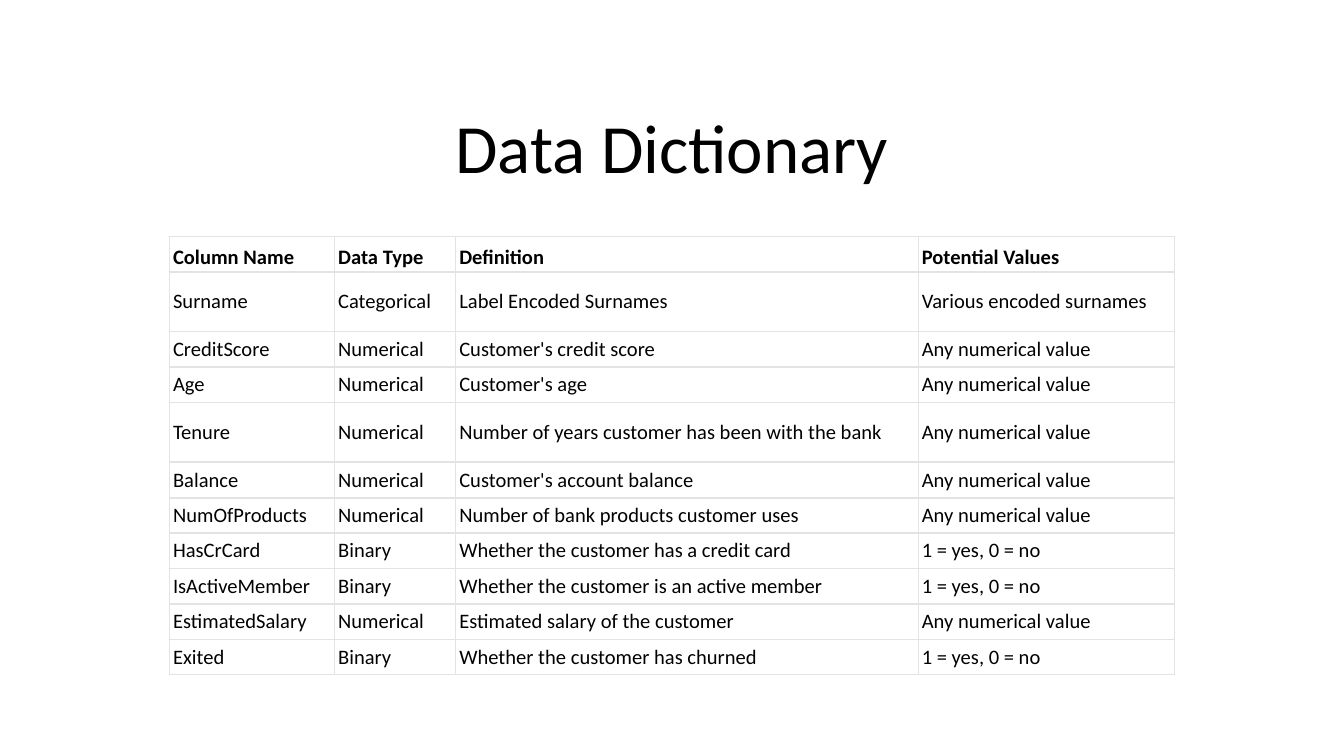
import dataclasses

import lxml.etree
import pptx
import pptx.dml.color
import pptx.enum.text
import pptx.oxml.ns
import pptx.util

Cm = pptx.util.Cm
Pt = pptx.util.Pt
MIDDLE = pptx.enum.text.MSO_ANCHOR.MIDDLE
BOTTOM = pptx.enum.text.MSO_ANCHOR.BOTTOM


@dataclasses.dataclass(frozen=True)
class Theme:
    font: str = "Calibri"
    ink: str = "000000"
    paper: str = "FFFFFF"
    rule: str = "E3E3E3"
    title_size: int = 37
    table_size: int = 11
    outer_rule: float = 0.6
    inner_rule: float = 1


class SlideBuilder:
    def __init__(self, deck, theme):
        self.theme = theme
        self.slide = deck.slides.add_slide(deck.slide_layouts[5])
        self.fill(self.slide.background.fill, theme.paper)

    def fill(self, target, color):
        target.solid()
        target.fore_color.rgb = pptx.dml.color.RGBColor.from_string(color)

    def apply(self, target, values):
        for name, value in values.items():
            setattr(target, name, value)

    def add_text(self, para, text, size, bold=False):
        span = para.add_run()
        span.text = text
        self.apply(span.font, {"name": self.theme.font, "size": Pt(size), "bold": bold})
        self.fill(span.font.fill, self.theme.ink)

    def title(self, text, left, top, width, height):
        box = self.slide.shapes.title
        self.apply(box, {"left": Cm(left), "top": Cm(top),
                         "width": Cm(width), "height": Cm(height)})
        self.apply(box.text_frame, {"vertical_anchor": MIDDLE, "word_wrap": True})
        para = box.text_frame.paragraphs[0]
        self.apply(para, {"alignment": pptx.enum.text.PP_ALIGN.CENTER, "line_spacing": 0.9})
        self.add_text(para, text, self.theme.title_size)

    def borders(self, cell, widths):
        # Sides must come in the order L, R, T, B
        properties = cell._tc.get_or_add_tcPr()
        qn = pptx.oxml.ns.qn
        for side, width in widths.items():
            line = lxml.etree.SubElement(properties, qn(f"a:ln{side}"), w=str(int(Pt(width))))
            solid = lxml.etree.SubElement(line, qn("a:solidFill"))
            lxml.etree.SubElement(solid, qn("a:srgbClr"), val=self.theme.rule)

    def table(self, records, left, top, column_widths, row_heights):
        theme = self.theme
        frame = self.slide.shapes.add_table(
            len(records), len(column_widths), Cm(left), Cm(top),
            Cm(sum(column_widths)), Cm(sum(row_heights)))
        grid = frame.table
        self.apply(grid, {"first_row": False, "horz_banding": False})
        for column, width in zip(grid.columns, column_widths):
            column.width = Cm(width)
        for row, height in zip(grid.rows, row_heights):
            row.height = Cm(height)

        last = len(records) - 1
        for index, record in enumerate(records):
            header = index == 0
            for column, text in enumerate(record):
                cell = grid.cell(index, column)
                self.apply(cell, {
                    "vertical_anchor": BOTTOM if header else MIDDLE,
                    "margin_left": Cm(0.07), "margin_right": Cm(0.07),
                    "margin_top": Cm(0.03), "margin_bottom": Cm(0.03)})
                self.borders(cell, {
                    "L": theme.outer_rule, "R": theme.outer_rule,
                    "T": theme.outer_rule if header else theme.inner_rule,
                    "B": theme.outer_rule if index == last else theme.inner_rule})
                self.fill(cell.fill, theme.paper)
                self.add_text(cell.text_frame.paragraphs[0], text, theme.table_size, header)


FIELDS = [
    ("Column Name", "Data Type", "Definition", "Potential Values"),
    ("Surname", "Categorical", "Label Encoded Surnames", "Various encoded surnames"),
    ("CreditScore", "Numerical", "Customer's credit score", "Any numerical value"),
    ("Age", "Numerical", "Customer's age", "Any numerical value"),
    ("Tenure", "Numerical", "Number of years customer has been with the bank",
     "Any numerical value"),
    ("Balance", "Numerical", "Customer's account balance", "Any numerical value"),
    ("NumOfProducts", "Numerical", "Number of bank products customer uses",
     "Any numerical value"),
    ("HasCrCard", "Binary", "Whether the customer has a credit card", "1 = yes, 0 = no"),
    ("IsActiveMember", "Binary", "Whether the customer is an active member",
     "1 = yes, 0 = no"),
    ("EstimatedSalary", "Numerical", "Estimated salary of the customer",
     "Any numerical value"),
    ("Exited", "Binary", "Whether the customer has churned", "1 = yes, 0 = no"),
]
TALL_ROWS = {"Surname", "Tenure"}


def main():
    deck = pptx.Presentation()
    deck.slide_width, deck.slide_height = Cm(25.4), Cm(14.29)
    page = SlideBuilder(deck, Theme())

    # Heading
    page.title("Data Dictionary", 1.27, 1.96, 22.86, 1.78)

    # Field descriptions
    heights = [1.13 if record[0] in TALL_ROWS else 0.67 for record in FIELDS]
    page.table(FIELDS, 3.2, 4.47, [3.12, 2.29, 8.74, 4.85], heights)

    deck.save("out.pptx")


if __name__ == "__main__":
    main()
